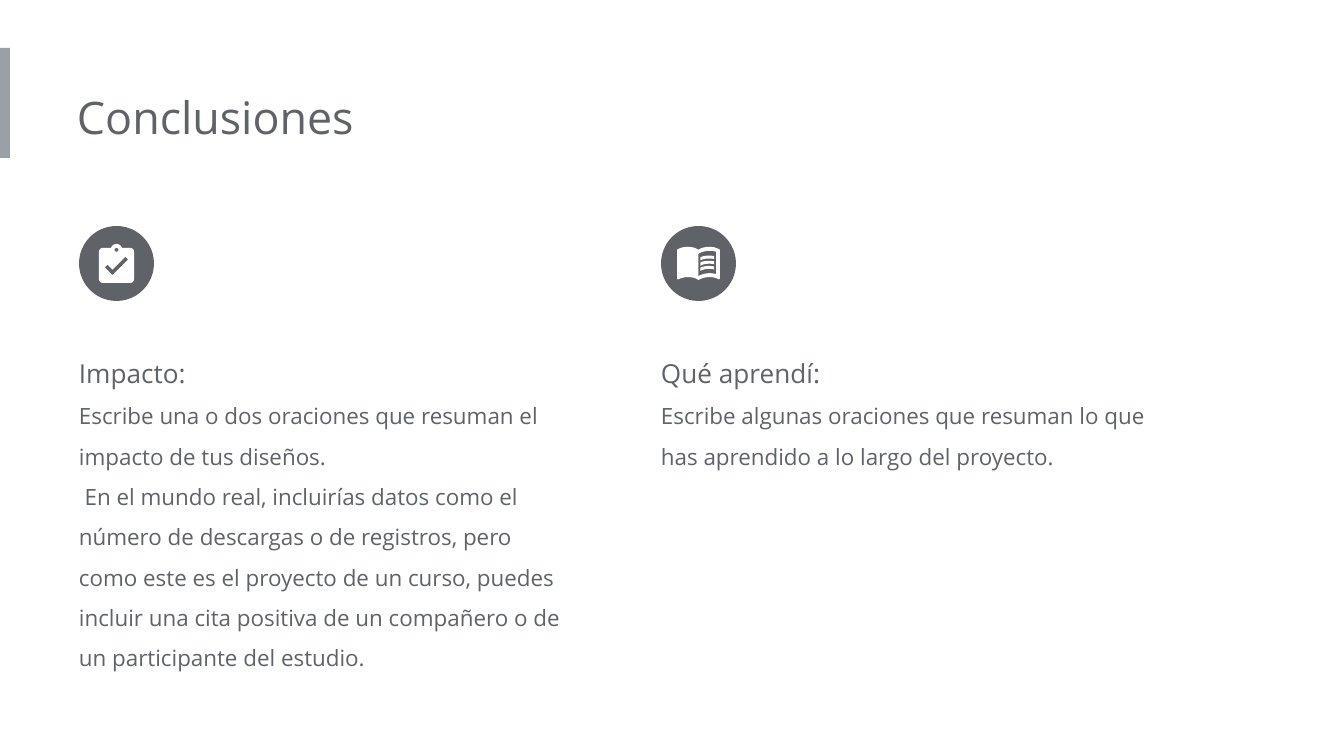
"""Build a conclusions slide with two icon-led text columns."""
from dataclasses import dataclass

from pptx import Presentation
from pptx.dml.color import RGBColor
from pptx.enum.shapes import MSO_SHAPE
from pptx.enum.text import MSO_ANCHOR, MSO_AUTO_SIZE
from pptx.util import Pt

RECTANGLE = MSO_SHAPE.RECTANGLE
OVAL = MSO_SHAPE.OVAL
TOP = MSO_ANCHOR.TOP
FIT_SHAPE = MSO_AUTO_SIZE.SHAPE_TO_FIT_TEXT

EMU_PER_PX = 9144000 / 1344
ICON_UNIT = 1.95
CURVE_STEPS = 6
BADGE_TOP, BADGE_SIZE = 226, 75
TEXT_TOP, TEXT_WIDTH = 329, 507
INSET = 13


@dataclass(frozen=True)
class Theme:
    """Colours, font and type sizes of the slide."""

    ink: RGBColor = RGBColor(0x5F, 0x63, 0x68)
    accent: RGBColor = RGBColor(0x9A, 0xA0, 0xA6)
    paper: RGBColor = RGBColor(0xFF, 0xFF, 0xFF)
    font: str = "Open Sans"
    title: int = 24
    heading: int = 14
    body: int = 12


THEME = Theme()

CLIPBOARD_CENTER = (12, 11)
CLIPBOARD = [[
    [(19, 3), (14.82, 3), (14.4, 1.84, 13.3, 1, 12, 1),
     (10.7, 1, 9.6, 1.84, 9.18, 3), (5, 3), (3.9, 3, 3, 3.9, 3, 5),
     (3, 19), (3, 20.1, 3.9, 21, 5, 21), (19, 21),
     (20.1, 21, 21, 20.1, 21, 19), (21, 5), (21, 3.9, 20.1, 3, 19, 3)],
    [(12, 3), (12.55, 3, 13, 3.45, 13, 4), (13, 4.55, 12.55, 5, 12, 5),
     (11.45, 5, 11, 4.55, 11, 4), (11, 3.45, 11.45, 3, 12, 3)],
    [(10, 17), (6, 13), (7.41, 11.59), (10, 14.17), (16.59, 7.58), (18, 9)],
]]

BOOK_CENTER = (12, 13)
BOOK_COVER = [
    [(21, 5), (19.89, 4.65, 18.67, 4.5, 17.5, 4.5),
     (15.55, 4.5, 13.45, 4.9, 12, 6), (10.55, 4.9, 8.45, 4.5, 6.5, 4.5),
     (4.55, 4.5, 2.45, 4.9, 1, 6), (1, 20.65),
     (1, 20.9, 1.25, 21.15, 1.5, 21.15), (1.75, 21.1),
     (3.1, 20.45, 5.05, 20, 6.5, 20), (8.45, 20, 10.55, 20.4, 12, 21.5),
     (13.35, 20.65, 15.8, 20, 17.5, 20),
     (19.15, 20, 20.85, 20.3, 22.25, 21.05), (22.5, 21.1),
     (22.75, 21.1, 23, 20.85, 23, 20.6), (23, 6),
     (22.4, 5.55, 21.75, 5.25, 21, 5)],
    [(21, 18.5), (19.9, 18.15, 18.7, 18, 17.5, 18),
     (15.8, 18, 13.35, 18.65, 12, 19.5), (12, 8),
     (13.35, 7.15, 15.8, 6.5, 17.5, 6.5), (18.7, 6.5, 19.9, 6.65, 21, 7)],
]


def page_line(drop):
    """Return the outline of one curved text line on the book page."""
    return [[(17.5, 10.5 + drop),
             (18.38, 10.5 + drop, 19.23, 10.59 + drop, 20, 10.76 + drop),
             (20, 9.24 + drop),
             (19.21, 9.09 + drop, 18.36, 9 + drop, 17.5, 9 + drop),
             (15.8, 9 + drop, 14.26, 9.29 + drop, 13, 9.83 + drop),
             (13, 11.49 + drop),
             (14.13, 10.85 + drop, 15.7, 10.5 + drop, 17.5, 10.5 + drop)]]


BOOK = [BOOK_COVER] + [page_line(2.66 * row) for row in range(3)]

COLUMNS = [
    (79, "Impacto:",
     "Escribe una o dos oraciones que resuman el impacto de tus diseños."
     "\v En el mundo real, incluirías datos como el número de descargas o de "
     "registros, pero como este es el proyecto de un curso, puedes incluir una "
     "cita positiva de un compañero o de un participante del estudio.",
     305, CLIPBOARD, CLIPBOARD_CENTER),
    (661, "Qué aprendí:",
     "Escribe algunas oraciones que resuman lo que has aprendido a lo largo "
     "del proyecto.",
     142, BOOK, BOOK_CENTER),
]


def px(length):
    """Convert pixels to EMU."""
    return round(length * EMU_PER_PX)


def paint(shape, color):
    """Give a shape a flat fill without line or shadow."""
    shape.shadow.inherit = False
    shape.fill.solid()
    shape.fill.fore_color.rgb = color
    shape.line.fill.background()


def add_block(slide, preset, left, top, width, height, color):
    """Add a flat preset shape."""
    block = slide.shapes.add_shape(preset, px(left), px(top), px(width), px(height))
    paint(block, color)


def add_text(slide, left, top, width, height, lines, spacing=None):
    """Add a text box with one paragraph per (text, size) pair."""
    box = slide.shapes.add_textbox(px(left), px(top), px(width), px(height))
    frame = box.text_frame
    frame.word_wrap = True
    frame.auto_size = FIT_SHAPE
    frame.vertical_anchor = TOP
    frame.margin_left = 0
    frame.margin_top = frame.margin_right = frame.margin_bottom = px(INSET)
    for index, (text, size) in enumerate(lines):
        paragraph = frame.add_paragraph() if index else frame.paragraphs[0]
        paragraph.text = text
        paragraph.line_spacing = spacing
        paragraph.font.name = THEME.font
        paragraph.font.size = Pt(size)
        paragraph.font.color.rgb = THEME.ink


def flatten(contour):
    """Turn line points and cubic curves into a list of points."""
    points = [contour[0]]
    for segment in contour[1:]:
        if len(segment) == 2:
            points.append(segment)
            continue
        x0, y0 = points[-1]
        x1, y1, x2, y2, x3, y3 = segment
        for step in range(1, CURVE_STEPS + 1):
            t = step / CURVE_STEPS
            a, b, c, d = (1 - t) ** 3, 3 * t * (1 - t) ** 2, 3 * t * t * (1 - t), t ** 3
            points.append((a * x0 + b * x1 + c * x2 + d * x3,
                           a * y0 + b * y1 + c * y2 + d * y3))
    return points


def add_icon(slide, parts, icon_center, middle_x, middle_y):
    """Draw the parts of an icon centred on a point."""
    center_x, center_y = icon_center
    for part in parts:
        contours = [[(px(middle_x + (x - center_x) * ICON_UNIT),
                      px(middle_y + (y - center_y) * ICON_UNIT))
                     for x, y in flatten(contour)] for contour in part]
        builder = slide.shapes.build_freeform(*contours[0][0], scale=1.0)
        builder.add_line_segments(contours[0][1:], close=True)
        for hole in contours[1:]:
            builder.move_to(*hole[0])
            builder.add_line_segments(hole[1:], close=True)
        paint(builder.convert_to_shape(), THEME.paper)


def add_column(slide, left, heading, body, height, icon, icon_center):
    """Add a text column with its round icon badge."""
    add_text(slide, left, TEXT_TOP, TEXT_WIDTH, height,
             [(heading, THEME.heading), (body, THEME.body)], 1.5)
    add_block(slide, OVAL, left, BADGE_TOP, BADGE_SIZE, BADGE_SIZE, THEME.ink)
    radius = BADGE_SIZE / 2
    add_icon(slide, icon, icon_center, left + radius, BADGE_TOP + radius)


def main():
    """Build and save the slide."""
    deck = Presentation()
    deck.slide_width, deck.slide_height = px(1344), px(756)
    slide = deck.slides.add_slide(deck.slide_layouts[6])
    add_block(slide, RECTANGLE, 0, 48, 10, 110, THEME.accent)
    add_text(slide, 77, 77, 724, 82, [("Conclusiones", THEME.title)])
    for column in COLUMNS:
        add_column(slide, *column)
    deck.save("out.pptx")


if __name__ == "__main__":
    main()
